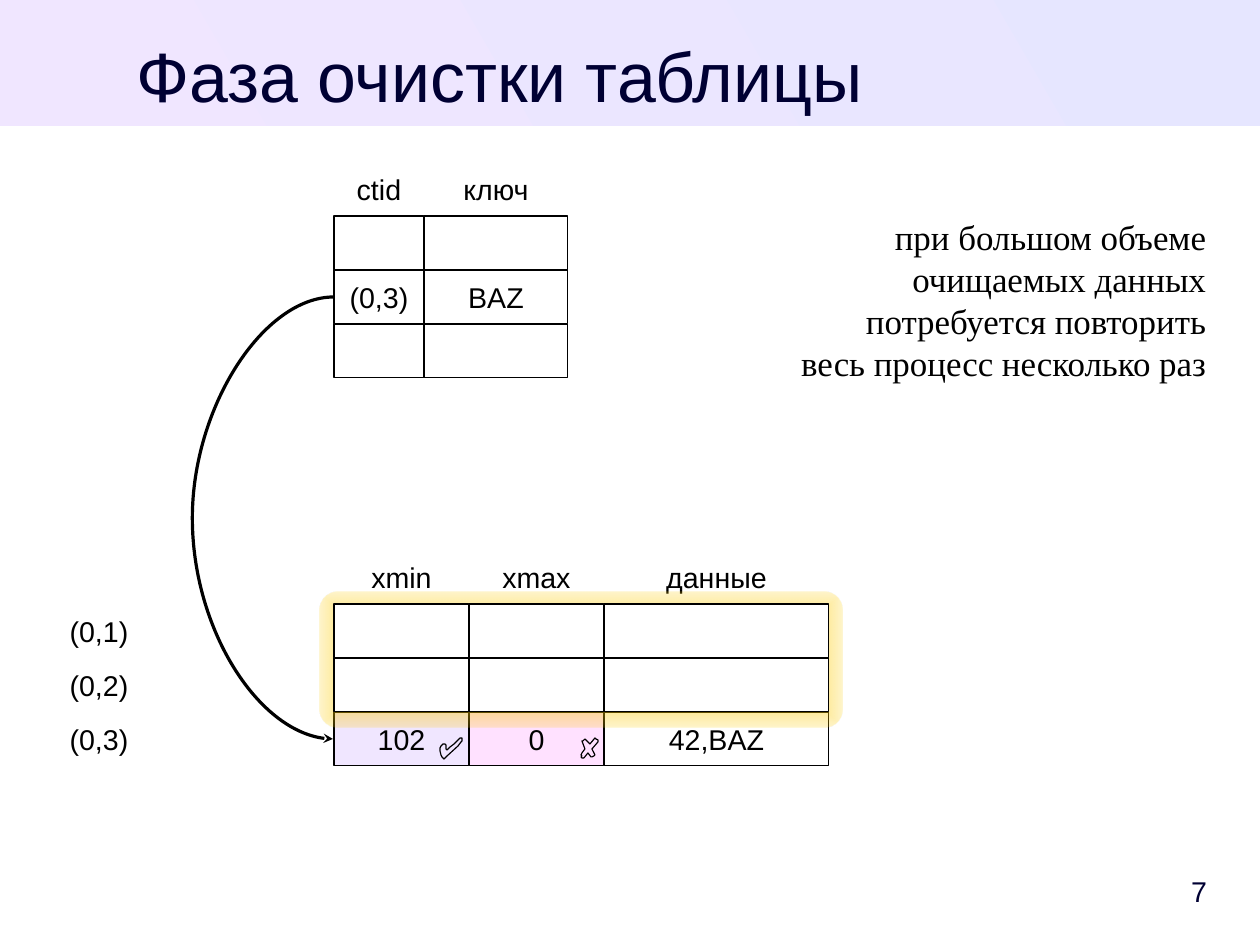
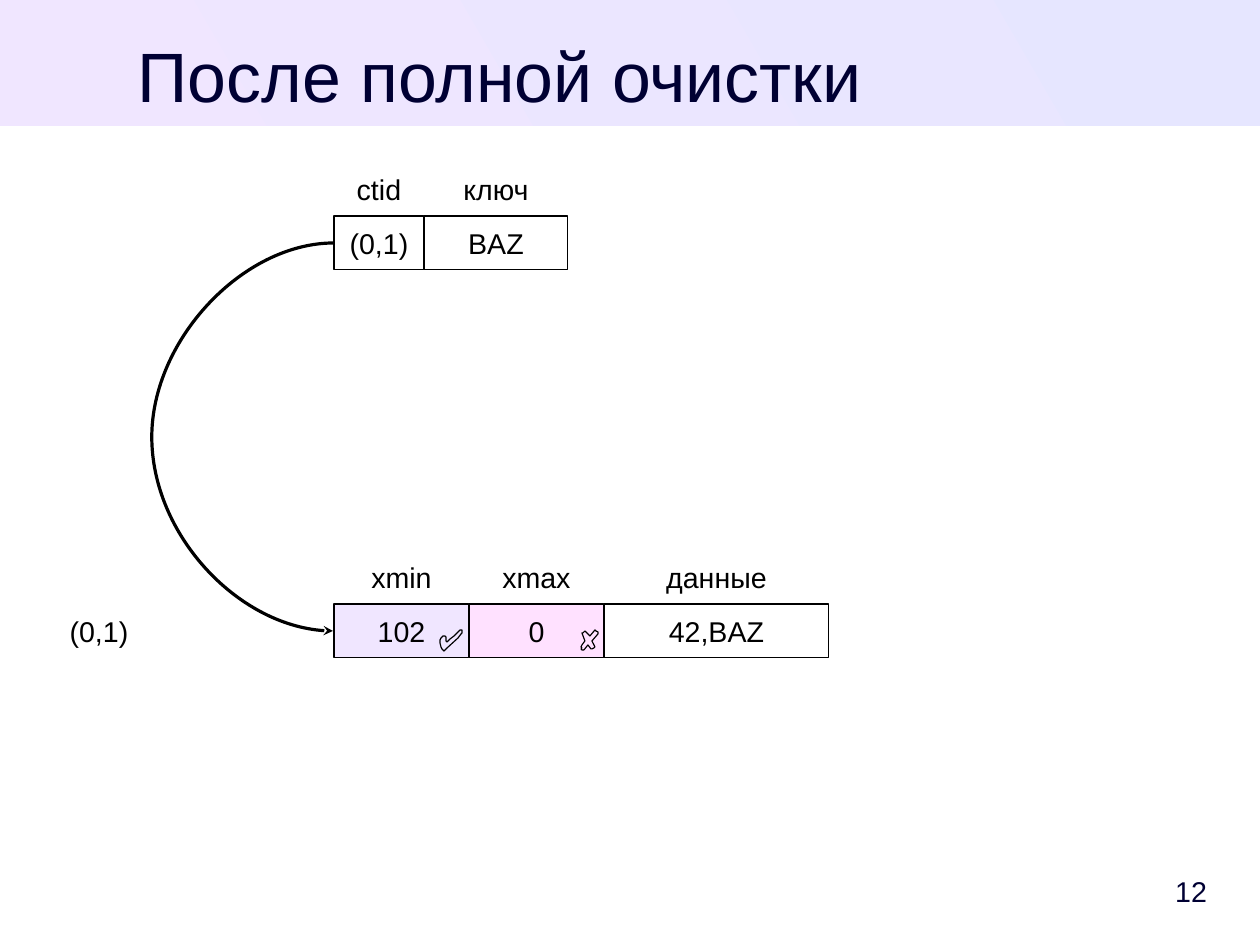
from pptx import Presentation
from pptx.dml.color import RGBColor
from pptx.enum.shapes import MSO_CONNECTOR, MSO_SHAPE
from pptx.enum.text import MSO_ANCHOR, PP_ALIGN
from pptx.oxml import parse_xml
from pptx.oxml.ns import nsdecls, qn
from pptx.util import Emu, Pt
from lxml import etree

RECTANGLE = MSO_SHAPE.RECTANGLE
ROUNDED = MSO_SHAPE.ROUNDED_RECTANGLE
CURVE = MSO_CONNECTOR.CURVE
MIDDLE, TOP = MSO_ANCHOR.MIDDLE, MSO_ANCHOR.TOP
CENTER, RIGHT = PP_ALIGN.CENTER, PP_ALIGN.RIGHT

SCALE = 8000
SLIDE_WIDTH, SLIDE_HEIGHT = 1260, 945
BAND_HEIGHT = 126
TITLE_ONLY = 5

BLACK, WHITE, NAVY = "000000", "FFFFFF", "000033"
BLUE_TINT, LILAC, PINK, GOLD = "E6E6FF", "F0E6FF", "FFE1FF", "FFCC00"

ROW = 54
MARGIN = 54
LABEL_WIDTH = 90
TABLE_LEFT = 334
INDEX_TOP, HEAP_TOP = 216, 604
INDEX_COLUMNS = [90, 144]
HEAP_COLUMNS = [135, 135, 225]
HEAP_FILLS = [LILAC, PINK, WHITE]

CHECK = [(22, 0), (20, 0), (14, 6), (10, 9), (8, 11), (7, 12), (6, 11),
         (6, 9), (6, 7), (5, 6), (3, 6), (1, 8), (0, 10), (0, 13), (1, 17),
         (2, 19), (4, 21), (7, 18), (18, 8), (21, 4), (22, 3)]
CROSS = [(17, 2), (15, 1), (14, 0), (9, 6), (5, 2), (4, 1), (2, 3), (1, 3),
         (4, 11), (1, 15), (0, 17), (1, 18), (0, 19), (1, 20), (3, 20),
         (7, 15), (10, 19), (11, 19), (13, 18), (14, 17), (11, 11), (17, 4)]


def px(*lengths):
    return [Emu(length * SCALE) for length in lengths]


def color(hex_string):
    return RGBColor.from_string(hex_string)


def write(box, text, size=18, font="Arial", ink=BLACK, align=CENTER,
          anchor=MIDDLE, insets=(0, 0, 0, 0), wrap=True):
    frame = box.text_frame
    frame.word_wrap = wrap
    frame.vertical_anchor = anchor
    (frame.margin_left, frame.margin_top,
     frame.margin_right, frame.margin_bottom) = px(*insets)
    para = frame.paragraphs[0]
    para.text = text
    para.alignment = align
    for span in para.runs:
        span.font.size = Pt(size)
        span.font.name = font
        span.font.color.rgb = color(ink)


def paint(shape, fill, outlined):
    shape.shadow.inherit = False
    shape.fill.solid()
    shape.fill.fore_color.rgb = color(fill)
    if outlined:
        shape.line.color.rgb = color(BLACK)
        shape.line.width = 0
    else:
        shape.line.fill.background()


def add_cell(page, left, top, width, text="", fill=WHITE, outlined=True):
    cell = page.shapes.add_shape(RECTANGLE, *px(left, top, width, ROW))
    paint(cell, fill, outlined)
    if text:
        write(cell, text, insets=(11, 6, 11, 6), wrap=False)
    return cell


def add_row(page, top, columns, texts=None, fills=None, outlined=True, inset=0):
    cells = []
    left = TABLE_LEFT
    for number, width in enumerate(columns):
        cells.append(add_cell(
            page, left + inset, top, width - 2 * inset,
            texts[number] if texts else "",
            fills[number] if fills else WHITE, outlined))
        left += width
    return cells


def add_mark(page, left, top, points, fill):
    placed = [(left + x, top + y) for x, y in points]
    builder = page.shapes.build_freeform(*placed[0], scale=SCALE)
    builder.add_line_segments(placed[1:], close=True)
    paint(builder.convert_to_shape(), fill, True)


def add_version(page, top):
    cells = add_row(page, top, HEAP_COLUMNS, ["102", "0", "42,BAZ"], HEAP_FILLS)
    add_mark(page, TABLE_LEFT + 106, top + 26, CHECK, LILAC)
    add_mark(page, TABLE_LEFT + 247, top + 26, CROSS, PINK)
    return cells[0]


def add_pointer(page, source, target, bulge):
    pointer = page.shapes.add_connector(CURVE, 0, 0, 0, 0)
    pointer.begin_connect(source, 1)
    pointer.end_connect(target, 1)
    pointer.end_x = pointer.begin_x - SCALE
    pointer.line.color.rgb = color(BLACK)
    pointer.line.width = 0
    properties = pointer.element.spPr
    adjustments = properties.find(".//" + qn("a:avLst"))
    etree.SubElement(adjustments, qn("a:gd"), name="adj1",
                     fmla=f"val {bulge * 100000}")
    etree.SubElement(properties.find(qn("a:ln")), qn("a:tailEnd"), type="stealth")
    etree.SubElement(properties, qn("a:effectLst"))


def add_glow(page, left, top, width, height):
    glow = page.shapes.add_shape(ROUNDED, *px(left, top, width, height))
    glow.adjustments[0] = 0.14
    paint(glow, GOLD, False)
    solid = glow.element.spPr.find(qn("a:solidFill"))
    solid.getparent().replace(solid, parse_xml(
        f'<a:gradFill {nsdecls("a")} rotWithShape="1"><a:gsLst>'
        f'<a:gs pos="0"><a:srgbClr val="{GOLD}"/></a:gs>'
        f'<a:gs pos="100000"><a:srgbClr val="{GOLD}">'
        '<a:alpha val="20000"/></a:srgbClr></a:gs></a:gsLst>'
        '<a:path path="rect"><a:fillToRect l="50000" t="50000" '
        'r="50000" b="50000"/></a:path></a:gradFill>'))


def add_band(page):
    band = page.shapes.add_shape(RECTANGLE, *px(0, 0, SLIDE_WIDTH, BAND_HEIGHT))
    paint(band, BLUE_TINT, False)
    band.fill.gradient()
    band.fill.gradient_angle = 210
    for stop, tint, place in zip(band.fill.gradient_stops, (BLUE_TINT, LILAC), (0, 1)):
        stop.color.rgb = color(tint)
        stop.position = place
    page.slide_layout.shapes.element.append(band.element)


def add_page(deck, title, number):
    page = deck.slides.add_slide(deck.slide_layouts[TITLE_ONLY])
    if len(deck.slides) == 1:
        add_band(page)
    heading = page.shapes.title
    heading.left, heading.top, heading.width, heading.height = px(MARGIN, 33, 892, 79)
    write(heading, title, size=44, ink=NAVY, anchor=TOP)
    footer = page.shapes.add_textbox(*px(1108, 864, 99, ROW))
    write(footer, number, ink=NAVY, align=RIGHT, insets=(11, 6, 0, 6))
    add_row(page, INDEX_TOP - ROW, INDEX_COLUMNS, ["ctid", "ключ"], outlined=False)
    add_row(page, HEAP_TOP - ROW, HEAP_COLUMNS, ["xmin", "xmax", "данные"],
            outlined=False, inset=23)
    return page


def add_addresses(page, count):
    for number in range(count):
        add_cell(page, MARGIN, HEAP_TOP + number * ROW, LABEL_WIDTH,
                 f"(0,{number + 1})", outlined=False)


def add_vacuum_page(deck):
    page = add_page(deck, "Фаза очистки таблицы", "7")
    add_addresses(page, 3)
    for number in (0, 2):
        add_row(page, INDEX_TOP + number * ROW, INDEX_COLUMNS)
    entry = add_row(page, INDEX_TOP + ROW, INDEX_COLUMNS, ["(0,3)", "BAZ"])[0]
    version = add_version(page, HEAP_TOP + 2 * ROW)
    add_pointer(page, entry, version, 143)
    add_glow(page, TABLE_LEFT - 14, HEAP_TOP - 12, sum(HEAP_COLUMNS) + 28, 2 * ROW + 27)
    for number in range(2):
        add_row(page, HEAP_TOP + number * ROW, HEAP_COLUMNS)
    note = page.shapes.add_textbox(*px(MARGIN, 216, 1152, 170))
    write(note, "при большом объеме\vочищаемых данных\vпотребуется повторить\v"
          "весь процесс несколько раз", size=22, font="Times New Roman",
          align=RIGHT, anchor=TOP)


def add_full_vacuum_page(deck):
    page = add_page(deck, "После полной очистки", "12")
    add_addresses(page, 1)
    entry = add_row(page, INDEX_TOP, INDEX_COLUMNS, ["(0,1)", "BAZ"])[0]
    version = add_version(page, HEAP_TOP)
    add_pointer(page, entry, version, 184)


def main():
    deck = Presentation()
    deck.slide_width, deck.slide_height = px(SLIDE_WIDTH, SLIDE_HEIGHT)
    add_vacuum_page(deck)
    add_full_vacuum_page(deck)
    deck.save("out.pptx")


if __name__ == "__main__":
    main()
